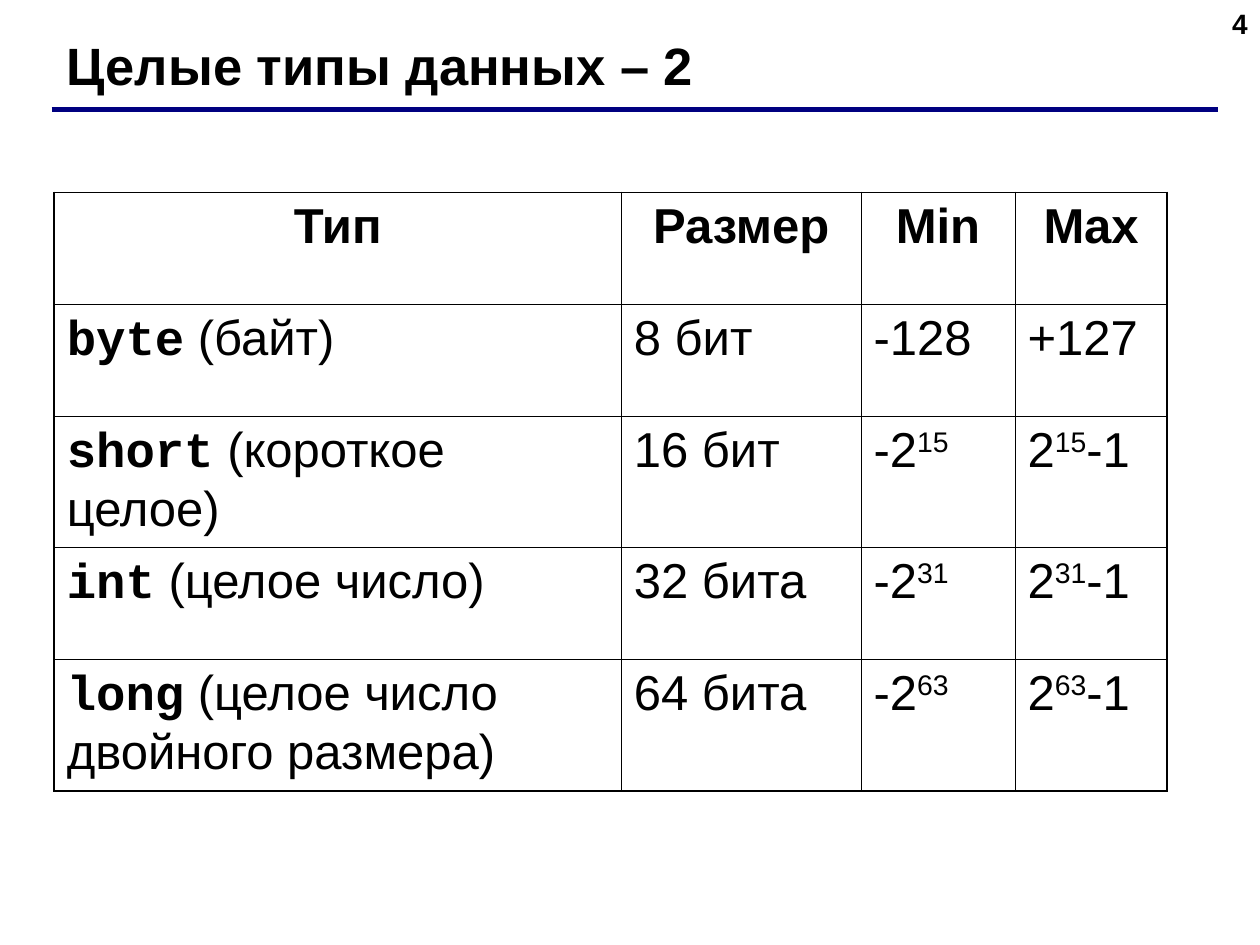
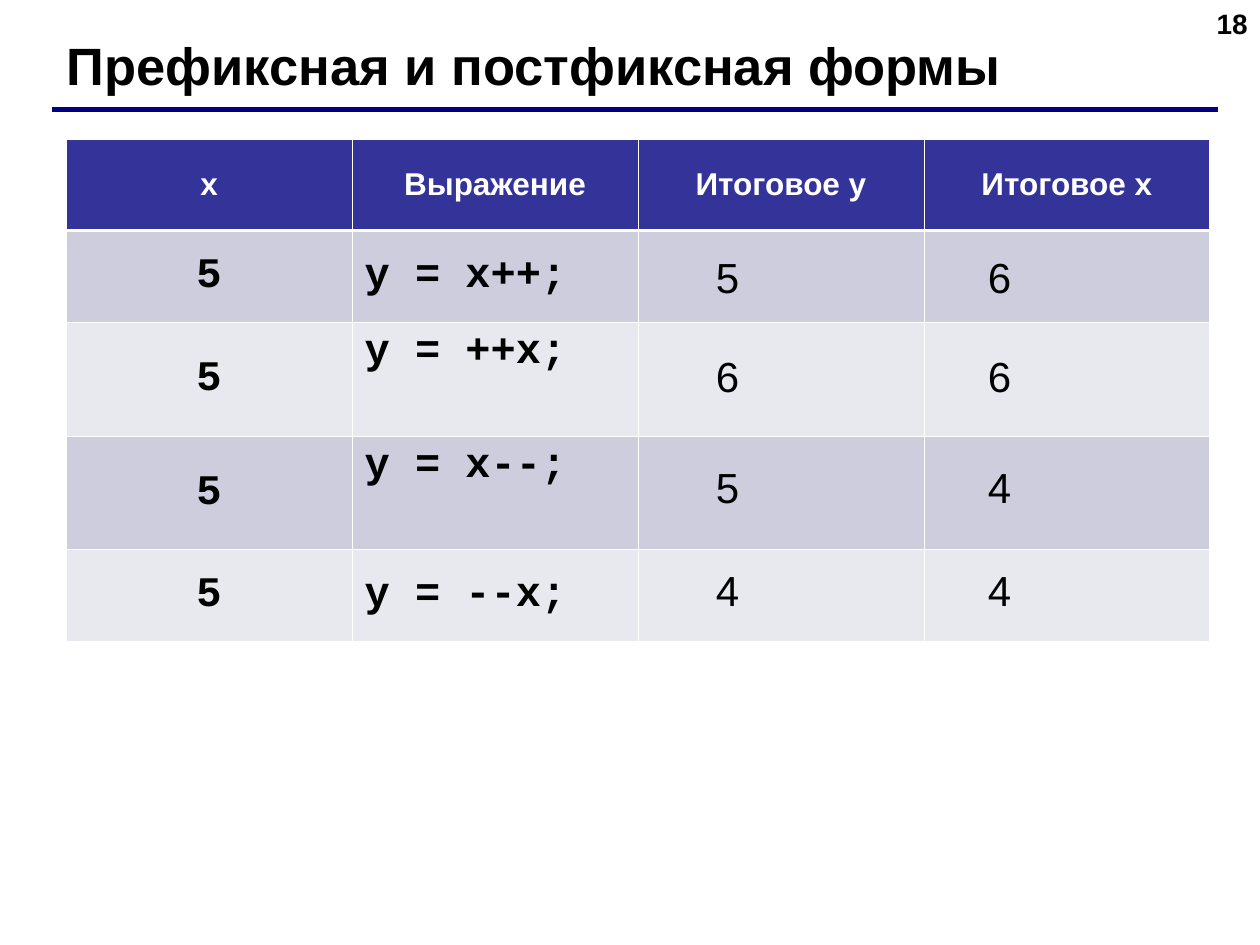
from lxml.etree import SubElement
from pptx import Presentation
from pptx.dml.color import RGBColor
from pptx.enum.shapes import MSO_CONNECTOR as Connector
from pptx.enum.text import MSO_ANCHOR as Anchor, MSO_AUTO_SIZE as AutoSize, PP_ALIGN as Align
from pptx.oxml.ns import qn
from pptx.util import Pt

# Content: a cell is a list of (text, style) runs
TYPES_TITLE = "Целые типы данных – 2"
TYPES_HEAD = ["Тип", "Размер", "Min", "Max"]
TYPES = [
    # keyword, meaning, size, min, max; a number is (before, power, after)
    ("byte", " (байт)", "8 бит", ("-128", "", ""), ("+127", "", "")),
    ("short", " (короткое целое)", "16 бит", ("-2", "15", ""), ("2", "15", "-1")),
    ("int", " (целое число)", "32 бита", ("-2", "31", ""), ("2", "31", "-1")),
    ("long", " (целое число двойного размера)", "64 бита", ("-2", "63", ""), ("2", "63", "-1")),
]
FORMS_TITLE = "Префиксная и постфиксная формы"
FORMS_HEAD = ["x", "Выражение", "Итоговое y", "Итоговое x"]
FORMS = [
    # x, expression, final y, final x
    ("5", "y = x++;", "5", "6"),
    ("5", "y = ++x;", "6", "6"),
    ("5", "y = x--;", "5", "4"),
    ("5", "y = --x;", "4", "4"),
]

# Shared look
BLACK, WHITE, NAVY, HEADER = "000000", "FFFFFF", "000080", "333399"
BANDS = ["CDCDDE", "E8E8EF"]
THIN, OUTER, HEAD_LINE = 0.45, 1.08, 1.47
BASE = {"name": "Arial", "size": Pt(28), "bold": False}
HEAD = BASE | {"bold": True}
CODE = HEAD | {"name": "Courier New"}
TITLE = HEAD | {"size": Pt(30)}
NUMBER = HEAD | {"size": Pt(16)}
FORM_HEAD = HEAD | {"size": Pt(18)}
FORM_CODE = CODE | {"size": Pt(24)}
ANSWER = BASE | {"size": Pt(24)}

# Geometry in points
TYPES_AT, TYPES_COLS, TYPES_ROWS = (31, 110), [324, 137, 88, 87], [64, 64, 75, 64, 75]
FORMS_AT, FORMS_COLS, FORMS_ROWS = (37.8, 79.4), [163.4] * 4, [52.4, 52.4, 65, 65, 52.4]
ANSWER_XS, ANSWER_YS = [402, 557.5], [140.4, 197, 260.3, 319.3]


def rgb(color):
    return RGBColor.from_string(color)


def write(p, text, style, color=BLACK, power=False):
    r = p.add_run()
    r.text = text
    for name, value in style.items():
        setattr(r.font, name, value)
    r.font.color.rgb = rgb(color)
    if power:
        r._r.get_or_add_rPr().set("baseline", "30000")


def add_text(slide, box, text, style, align=Align.LEFT):
    tf = slide.shapes.add_textbox(*map(Pt, box)).text_frame
    tf.word_wrap = True
    tf.paragraphs[0].alignment = align
    write(tf.paragraphs[0], text, style)


def add_slide(prs, title, number):
    """Slide with the page number, the title and the rule below it."""
    slide = prs.slides.add_slide(prs.slide_layouts[5])
    add_text(slide, (552, 0, 168, 37.5), number, NUMBER, Align.RIGHT)

    s = slide.shapes.title
    s.left, s.top, s.width, s.height = map(Pt, (31, 15.5, 641, 43))
    tf = s.text_frame
    for name, value in {"auto_size": AutoSize.NONE, "word_wrap": True,
                        "vertical_anchor": Anchor.BOTTOM}.items():
        setattr(tf, name, value)
    tf.paragraphs[0].alignment = Align.LEFT
    write(tf.paragraphs[0], title, TITLE)

    line = slide.shapes.add_connector(Connector.STRAIGHT, *map(Pt, (29.5, 62.6, 696, 62.6)))
    line.line.color.rgb = rgb(NAVY)
    line.line.width = Pt(3)
    SubElement(line._element.spPr, qn("a:effectLst"))
    return slide


def add_grid(slide, at, cols, rows):
    size = sum(cols), sum(rows)
    table = slide.shapes.add_table(len(rows), len(cols), *map(Pt, at + size)).table
    table.first_row = table.horz_banding = False
    for col, width in zip(table.columns, cols):
        col.width = Pt(width)
    for row, height in zip(table.rows, rows):
        row.height = Pt(height)
    return table


def set_borders(cell, color, widths):
    """Widths are left, right, top, bottom; call before the fill is set."""
    for side, width in zip("LRTB", widths):
        ln = SubElement(cell._tc.get_or_add_tcPr(), qn(f"a:ln{side}"), w=str(Pt(width)))
        fill = SubElement(ln, qn("a:solidFill"))
        SubElement(fill, qn("a:srgbClr"), val=color)


def add_types_slide(prs):
    slide = add_slide(prs, TYPES_TITLE, "4")
    table = add_grid(slide, TYPES_AT, TYPES_COLS, TYPES_ROWS)
    last_row, last_col = len(TYPES_ROWS) - 1, len(TYPES_COLS) - 1
    for i in range(last_row + 1):
        for j in range(last_col + 1):
            cell = table.cell(i, j)
            edges = j == 0, j == last_col, i == 0, i == last_row
            set_borders(cell, BLACK, [OUTER if edge else THIN for edge in edges])
            cell.fill.background()
            p = cell.text_frame.paragraphs[0]
            if i == 0:
                p.alignment = Align.CENTER
                write(p, TYPES_HEAD[j], HEAD)
                continue
            keyword, meaning, size, *limits = TYPES[i - 1]
            if j == 0:
                write(p, keyword, CODE)
                write(p, meaning, BASE)
            elif j == 1:
                write(p, size, BASE)
            else:
                for k, part in enumerate(limits[j - 2]):
                    if part:
                        write(p, part, BASE, power=k == 1)


def add_forms_slide(prs):
    slide = add_slide(prs, FORMS_TITLE, "18")
    table = add_grid(slide, FORMS_AT, FORMS_COLS, FORMS_ROWS)
    for i, height in enumerate(FORMS_ROWS):
        for j in range(len(FORMS_COLS)):
            cell = table.cell(i, j)
            set_borders(cell, WHITE, [THIN, THIN, HEAD_LINE if i == 1 else THIN,
                                      HEAD_LINE if i == 0 else THIN])
            cell.fill.solid()
            cell.fill.fore_color.rgb = rgb(BANDS[(i - 1) % 2] if i else HEADER)
            # Expressions in the tall rows stand at the top
            tall = j == 1 and height > FORMS_ROWS[0]
            cell.vertical_anchor = Anchor.TOP if tall else Anchor.MIDDLE
            p = cell.text_frame.paragraphs[0]
            p.alignment = Align.LEFT if i and j else Align.CENTER
            if i == 0:
                write(p, FORMS_HEAD[j], FORM_HEAD, WHITE)
            elif j < 2:
                write(p, FORMS[i - 1][j], FORM_CODE)

    # Answers lie over the empty cells
    for y, (_, _, *answers) in zip(ANSWER_YS, FORMS):
        for x, answer in zip(ANSWER_XS, answers):
            add_text(slide, (x, y, 83.5, 36), answer, ANSWER)


def main():
    prs = Presentation()
    prs.slide_width, prs.slide_height = Pt(720), Pt(540)
    add_types_slide(prs)
    add_forms_slide(prs)
    prs.save("out.pptx")


if __name__ == "__main__":
    main()
